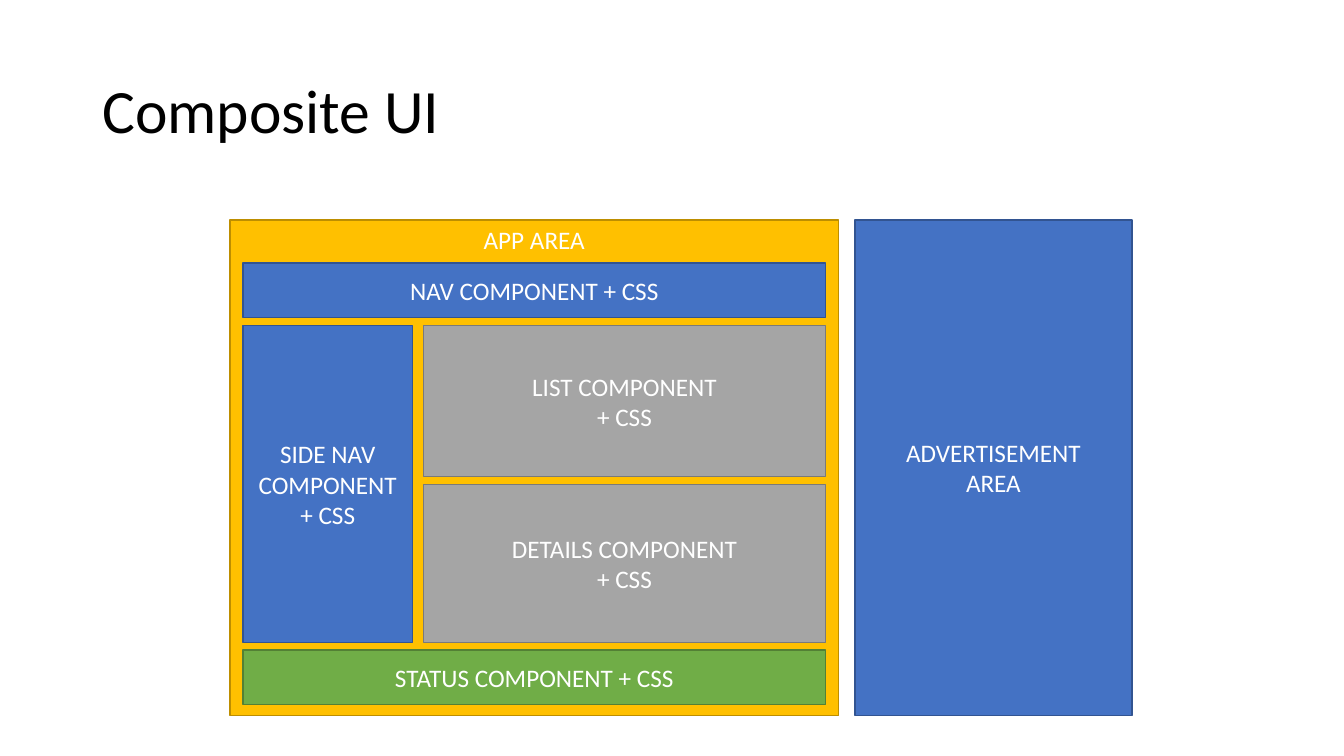
import pptx
import pptx.dml.color
import pptx.enum.shapes
import pptx.enum.text
import pptx.util

Pt = pptx.util.Pt
RGB = pptx.dml.color.RGBColor
ANCHOR = pptx.enum.text.MSO_ANCHOR
ALIGN = pptx.enum.text.PP_ALIGN

WHITE = RGB(0xFF, 0xFF, 0xFF)
BLACK = RGB(0x00, 0x00, 0x00)
# Each scheme is a fill and its darker outline
GOLD = RGB(0xFF, 0xC0, 0x00), RGB(0xBD, 0x8E, 0x00)
BLUE = RGB(0x44, 0x72, 0xC4), RGB(0x32, 0x54, 0x91)
GRAY = RGB(0xA5, 0xA5, 0xA5), RGB(0x7A, 0x7A, 0x7A)
GREEN = RGB(0x70, 0xAD, 0x47), RGB(0x53, 0x80, 0x35)


class SlideBuilder:
    font = "Calibri"
    title_size = 44
    label_size = 18

    def __init__(self, slide):
        self.slide = slide

    def add_run(self, paragraph, text, size, color):
        run = paragraph.add_run()
        run.text = text
        run.font.name = self.font
        run.font.size = Pt(size)
        run.font.color.rgb = color

    def title(self, text, left, top, width, height):
        box = self.slide.shapes.add_textbox(Pt(left), Pt(top), Pt(width), Pt(height))
        frame = box.text_frame
        frame.word_wrap = True
        frame.vertical_anchor = ANCHOR.MIDDLE
        frame.paragraphs[0].line_spacing = 0.9
        self.add_run(frame.paragraphs[0], text, self.title_size, BLACK)

    def area(self, lines, scheme, left, top, width, height, anchor=ANCHOR.MIDDLE):
        block = self.slide.shapes.add_shape(
            pptx.enum.shapes.MSO_SHAPE.RECTANGLE,
            Pt(left), Pt(top), Pt(width), Pt(height))
        fill, outline = scheme
        block.shadow.inherit = False
        block.fill.solid()
        block.fill.fore_color.rgb = fill
        block.line.color.rgb = outline
        block.line.width = Pt(1)
        frame = block.text_frame
        frame.word_wrap = True
        frame.vertical_anchor = anchor
        for index, line in enumerate(lines):
            paragraph = frame.add_paragraph() if index else frame.paragraphs[0]
            paragraph.alignment = ALIGN.CENTER
            self.add_run(paragraph, line, self.label_size, WHITE)


def main():
    deck = pptx.Presentation()
    deck.slide_width, deck.slide_height = Pt(960), Pt(540)
    ui = SlideBuilder(deck.slides.add_slide(deck.slide_layouts[6]))

    ui.title("Composite UI", 66, 28.75, 828, 104.4)

    # Two main areas side by side
    app_left, app_top, app_width, app_height = 164.2, 157, 434.9, 354.2
    ad_left = app_left + app_width + 11.5
    ui.area(["APP AREA"], GOLD, app_left, app_top, app_width, app_height, ANCHOR.TOP)
    ui.area(["ADVERTISEMENT", "AREA"], BLUE, ad_left, app_top, 198, app_height)

    # Frame inside the app area
    inset, gap, bar_height = 9.4, 5.6, 39
    left = app_left + inset
    width = app_width - 2 * inset
    nav_top = 188
    body_top = nav_top + bar_height + gap
    status_top = 464.4
    body_height = status_top - gap - body_top

    # Columns and rows of the body
    side_width, list_height = 121, 108
    main_left = left + side_width + 7.8
    main_width = left + width - main_left
    details_top = body_top + list_height + gap
    details_height = body_top + body_height - details_top

    # Components
    ui.area(["NAV COMPONENT + CSS"], BLUE, left, nav_top, width, bar_height)
    ui.area(["SIDE NAV COMPONENT", "+ CSS"], BLUE, left, body_top, side_width, body_height)
    ui.area(["LIST COMPONENT", "+ CSS"], GRAY, main_left, body_top, main_width, list_height)
    ui.area(["DETAILS COMPONENT", "+ CSS"], GRAY,
            main_left, details_top, main_width, details_height)
    ui.area(["STATUS COMPONENT + CSS"], GREEN, left, status_top, width, bar_height)

    deck.save("out.pptx")


if __name__ == "__main__":
    main()
